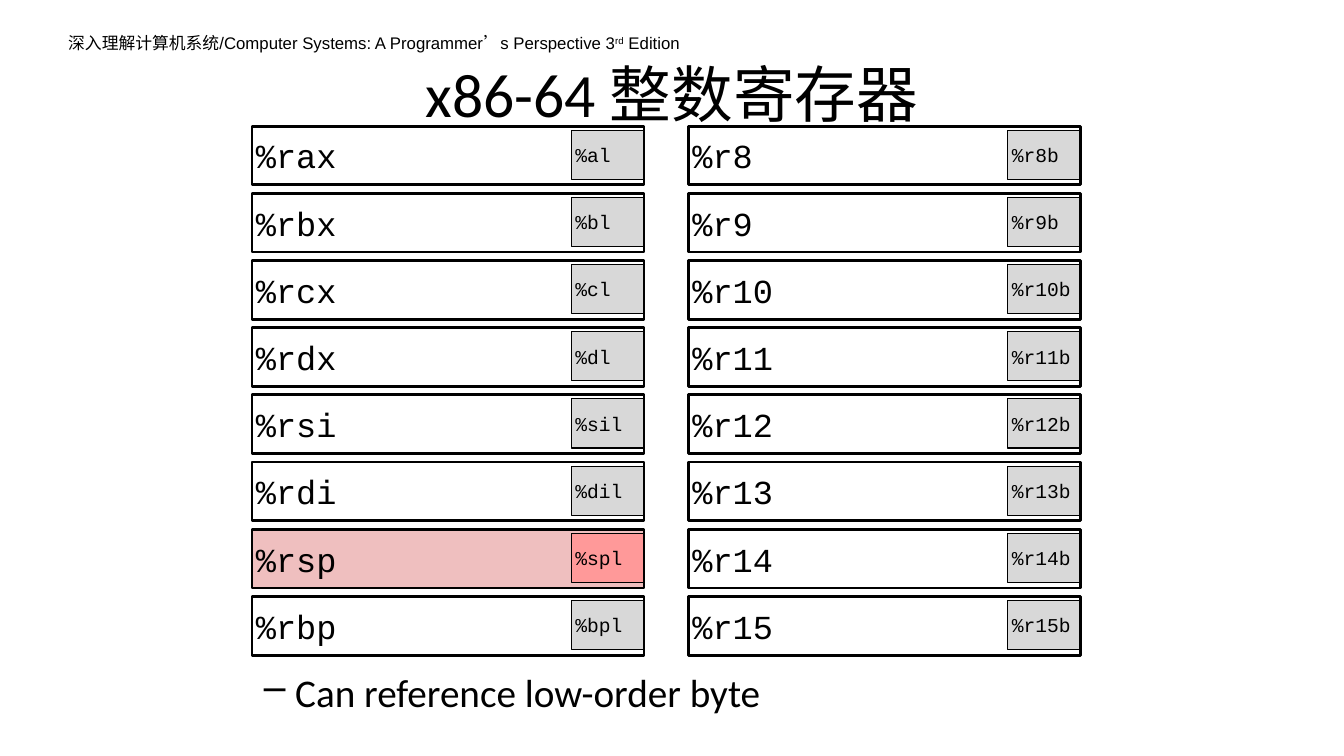
from dataclasses import dataclass

from lxml import etree
from pptx import Presentation
from pptx.dml.color import RGBColor
from pptx.enum.shapes import MSO_SHAPE
from pptx.enum.text import MSO_ANCHOR, PP_ALIGN
from pptx.oxml.ns import qn
from pptx.util import Cm, Pt

RECT = MSO_SHAPE.RECTANGLE
TOP, MIDDLE = MSO_ANCHOR.TOP, MSO_ANCHOR.MIDDLE
LEFT, CENTER = PP_ALIGN.LEFT, PP_ALIGN.CENTER


@dataclass(frozen=True)
class Theme:
    ink: RGBColor = RGBColor(0, 0, 0)
    byte: RGBColor = RGBColor(0xD8, 0xD8, 0xD8)
    stack: RGBColor = RGBColor(0xEF, 0xBF, 0xBF)
    stack_byte: RGBColor = RGBColor(0xFF, 0x99, 0x99)
    header_font: str = "Arial"
    body_font: str = "Calibri"
    code_font: str = "Courier New"
    header_size: int = 12
    title_size: int = 44
    body_size: int = 28
    register_size: int = 24
    byte_size: int = 14


THEME = Theme()
STACK_POINTER = "%rsp"
COLUMNS = [
    [("%rax", "%al"), ("%rbx", "%bl"), ("%rcx", "%cl"), ("%rdx", "%dl"),
     ("%rsi", "%sil"), ("%rdi", "%dil"), (STACK_POINTER, "%spl"), ("%rbp", "%bpl")],
    [(f"%r{n}", f"%r{n}b") for n in range(8, 16)],
]


def set_font(p, name, size):
    p.font.name, p.font.size = name, Pt(size)
    p.font.color.rgb = THEME.ink


def add_text(s, x, y, w, h, text, name, size, anchor=TOP, align=LEFT):
    tf = s.shapes.add_textbox(Cm(x), Cm(y), Cm(w), Cm(h)).text_frame
    tf.word_wrap = True
    tf.vertical_anchor = anchor
    p = tf.paragraphs[0]
    p.text, p.alignment = text, align
    set_font(p, name, size)
    return p


def add_cell(s, x, y, w, h, text, size, line, fill=None):
    sp = s.shapes.add_shape(RECT, Cm(x), Cm(y), Cm(w), Cm(h))
    sp.shadow.inherit = False
    if fill is None:
        sp.fill.background()
    else:
        sp.fill.solid()
        sp.fill.fore_color.rgb = fill
    sp.line.color.rgb, sp.line.width = THEME.ink, Pt(line)
    tf = sp.text_frame
    tf.margin_left = tf.margin_right = tf.margin_top = tf.margin_bottom = Cm(0.1)
    tf.vertical_anchor = MIDDLE
    p = tf.paragraphs[0]
    p.text, p.alignment = text, LEFT
    set_font(p, THEME.code_font, size)


def add_header(s, x, y, w, h):
    p = add_text(s, x, y, w, h,
                 "深入理解计算机系统/Computer Systems: A Programmer’s Perspective 3",
                 THEME.header_font, THEME.header_size)
    r = p.add_run()
    r.text = "rd"
    r.font._element.set("baseline", "30000")
    p.add_run().text = " Edition"


def add_register(s, x, y, w, h, name, byte):
    is_stack = name == STACK_POINTER
    byte_w, inset = 1.83, 0.1
    full = (x, y, w, h, name, THEME.register_size, 2)
    low = (x + w - byte_w, y + inset, byte_w, 1.24, byte, THEME.byte_size)
    # A filled register lies under its low byte, an open one frames it
    if is_stack:
        add_cell(s, *full, THEME.stack)
        add_cell(s, *low, 1, THEME.stack_byte)
    else:
        add_cell(s, *low, 0.75, THEME.byte)
        add_cell(s, *full)


def add_register_grid(s, x, y, w, h):
    cell_w, cell_h = 9.88, 1.48
    col_step = w - cell_w
    row_step = (h - cell_h) / (len(COLUMNS[0]) - 1)
    for col, registers in enumerate(COLUMNS):
        for row, (name, byte) in enumerate(registers):
            add_register(s, x + col * col_step, y + row * row_step,
                         cell_w, cell_h, name, byte)


def add_note(s, x, y, w, h):
    p = add_text(s, x, y, w, h, "Can reference low-order byte",
                 THEME.body_font, THEME.body_size)
    pPr = p._p.get_or_add_pPr()
    pPr.set("marL", str(Cm(2.06)))
    pPr.set("indent", str(Cm(-0.79)))
    bullet = etree.Element(qn("a:buChar"), char="–")
    pPr.insert(0, bullet)


def build_slide(prs):
    s = prs.slides.add_slide(prs.slide_layouts[6])
    # Header and title
    add_header(s, 1.47, 0.71, 15.95, 0.76)
    add_text(s, 1.69, 0.76, 30.48, 3.18, "x86-64 整数寄存器",
             THEME.body_font, THEME.title_size, MIDDLE, CENTER)
    # Two columns of registers
    add_register_grid(s, 6.35, 3.18, 20.88, 13.33)
    # Note below the registers
    add_note(s, 5.13, 16.71, 20.37, 2.34)


def main():
    prs = Presentation()
    prs.slide_width, prs.slide_height = Cm(33.87), Cm(19.05)
    build_slide(prs)
    prs.save("out.pptx")


if __name__ == "__main__":
    main()
